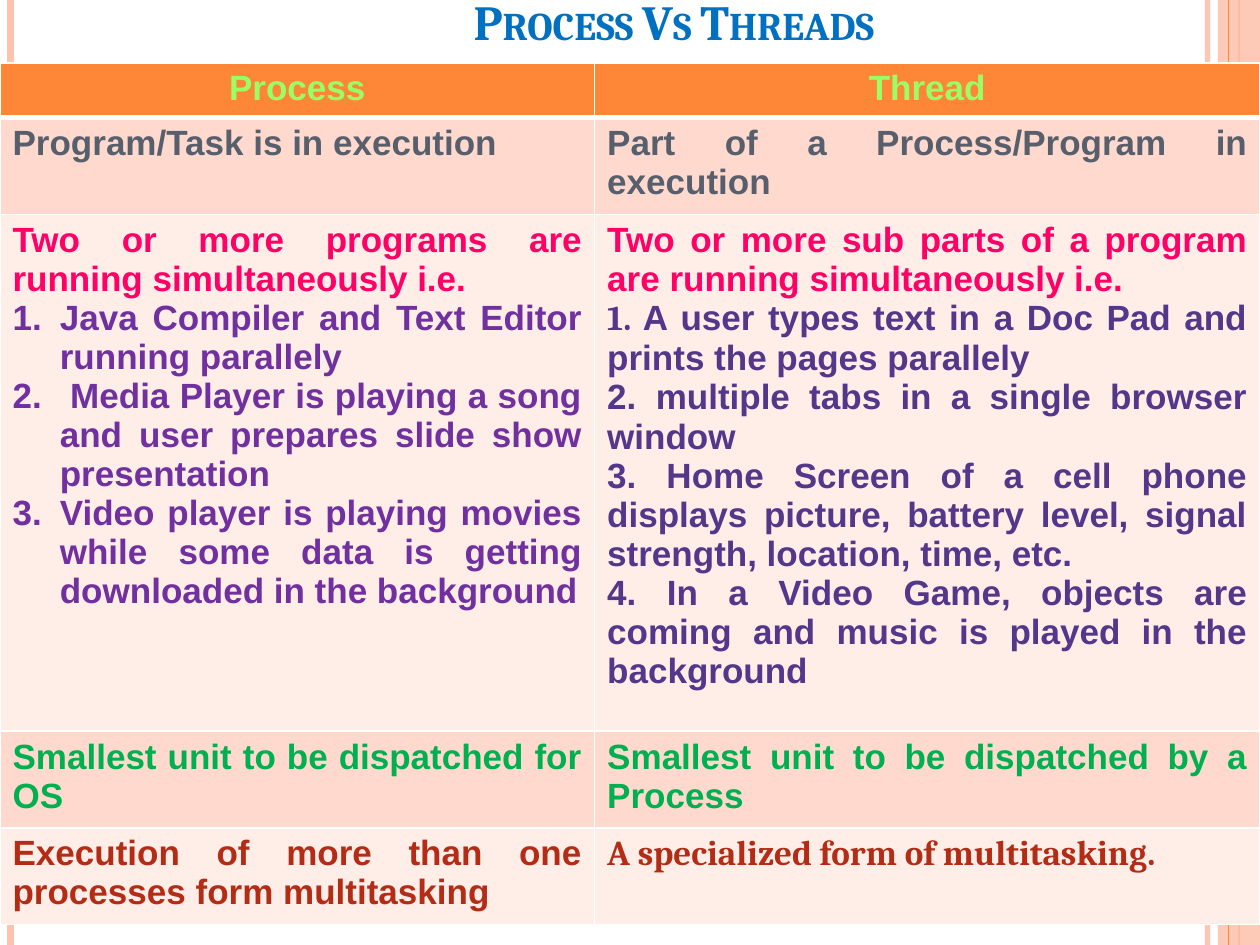
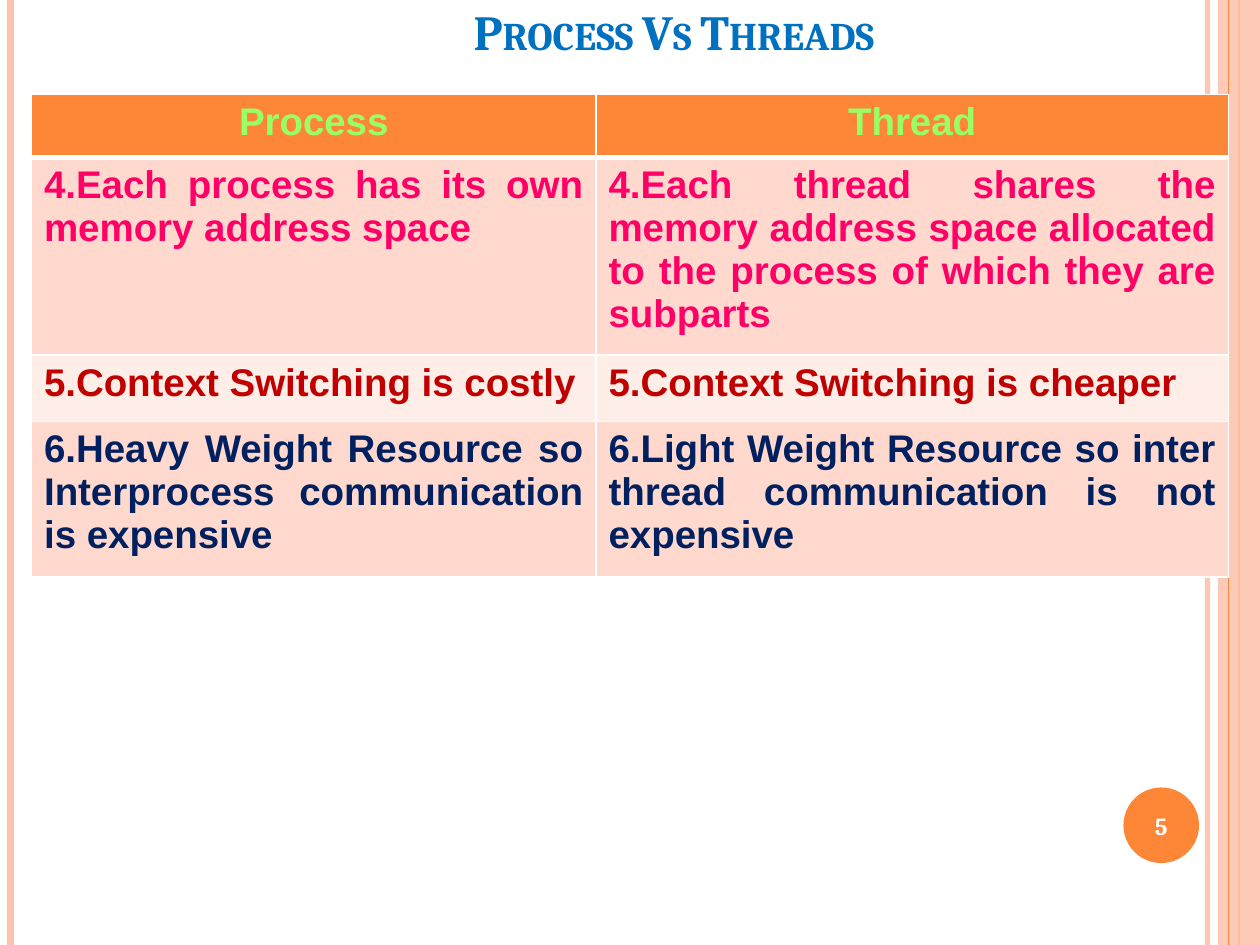
from dataclasses import dataclass

from lxml import etree
from pptx import Presentation
from pptx.dml.color import RGBColor
from pptx.enum.shapes import MSO_CONNECTOR as Conn, MSO_SHAPE as Shape
from pptx.enum.text import MSO_ANCHOR as Anchor, PP_ALIGN as Align
from pptx.oxml.ns import qn
from pptx.util import Pt


@dataclass(frozen=True)
class Theme:
    # colours
    title: str = "0070C0"
    orange: str = "FE8637"
    peach: str = "FEC3AE"
    white: str = "FFFFFF"
    header: str = "99FF66"
    bands: tuple[str, str] = ("FFD9CE", "FFEDE8")
    slate: str = "575F6D"
    pink: str = "FF0066"
    purple: str = "7030A0"
    violet: str = "54368A"
    green: str = "00B050"
    rust: str = "B32C16"
    red: str = "C00000"
    navy: str = "002060"
    # fonts and sizes
    serif: str = "Cambria"
    sans: str = "Arial"
    title_size: float = 28
    number_size: float = 14


T = Theme()
SLIDE_W, SLIDE_H = 720, 540


@dataclass(frozen=True)
class Stripe:
    x: float
    width: float
    color: str
    alpha: int = 100


@dataclass(frozen=True)
class Para:
    text: str
    color: str
    font: str = T.sans
    numbered: bool = False
    lead: str = ""  # opening words set in the serif font


@dataclass(frozen=True)
class Grid:
    left: float
    top: float
    cols: tuple[float, float]
    heights: tuple[float, ...]
    size: float
    rows: list[tuple[list[Para], list[Para]]]


def pair(process: str, thread: str, color: str, thread_font: str = T.sans):
    return [Para(process, color)], [Para(thread, color, thread_font)]


# Low-level helpers
def set_alpha(fill_owner, alpha: int) -> None:
    if alpha < 100:
        color = next(fill_owner.iter(qn("a:srgbClr")))
        etree.SubElement(color, qn("a:alpha"), val=str(alpha * 1000))


def add_run(p, text: str, *, size: float, color: str, font: str = T.sans,
            align=None, small_caps: bool = False) -> None:
    r = p.add_run()
    r.text = text
    r.font.size, r.font.name, r.font.bold = Pt(size), font, True
    r.font.color.rgb = RGBColor.from_string(color)
    if align is not None:
        p.alignment = align
    if small_caps:
        r._r.get_or_add_rPr().set("cap", "small")


def add_stripe(s, stripe: Stripe) -> None:
    line = s.shapes.add_connector(Conn.STRAIGHT, Pt(stripe.x), Pt(0),
                                  Pt(stripe.x), Pt(SLIDE_H))
    line.line.width = Pt(stripe.width)
    line.line.color.rgb = RGBColor.from_string(stripe.color)
    sp_pr = line._element.spPr
    set_alpha(sp_pr, stripe.alpha)
    etree.SubElement(sp_pr, qn("a:effectLst"))


def add_plain_shape(s, kind, x: float, y: float, w: float, h: float,
                    color: str, alpha: int = 100):
    sp = s.shapes.add_shape(kind, Pt(x), Pt(y), Pt(w), Pt(h))
    sp.shadow.inherit = False
    sp.fill.solid()
    sp.fill.fore_color.rgb = RGBColor.from_string(color)
    sp.line.fill.background()
    set_alpha(sp._element.spPr, alpha)
    return sp


# Shared slide parts
def add_background(s) -> None:
    for stripe in (Stripe(690, 3, T.peach, 93), Stripe(6, 4.5, T.peach),
                   Stripe(708, 1.5, T.orange)):
        add_stripe(s, stripe)
    add_plain_shape(s, Shape.RECTANGLE, 696, 0, 24, SLIDE_H, T.peach, 87)
    add_stripe(s, Stripe(702, 0.75, T.orange))


def add_title(s, text: str, top: float) -> None:
    tf = s.shapes.add_textbox(Pt(90), Pt(top), Pt(590.4), Pt(38.2)).text_frame
    tf.word_wrap, tf.vertical_anchor = True, Anchor.BOTTOM
    add_run(tf.paragraphs[0], text, size=T.title_size, color=T.title,
            font=T.serif, align=Align.CENTER, small_caps=True)


def add_slide_number(s, number: int) -> None:
    sp = add_plain_shape(s, Shape.OVAL, 642, 450, 43.2, 43.2, T.orange)
    tf = sp.text_frame
    tf.vertical_anchor = Anchor.MIDDLE
    add_run(tf.paragraphs[0], str(number), size=T.number_size, color=T.white,
            font=T.serif, align=Align.CENTER)


# Comparison table
def style_cell(cell, fill: str, borders: dict[str, float]) -> None:
    tc_pr = cell._tc.get_or_add_tcPr()
    for side, width in borders.items():
        ln = etree.SubElement(tc_pr, qn(f"a:ln{side}"), w=str(Pt(width)))
        solid = etree.SubElement(ln, qn("a:solidFill"))
        etree.SubElement(solid, qn("a:srgbClr"), val=T.white)
    cell.fill.solid()
    cell.fill.fore_color.rgb = RGBColor.from_string(fill)


def number_paragraph(p) -> None:
    p_pr = p._p.get_or_add_pPr()
    p_pr.set("marL", str(Pt(27)))
    p_pr.set("indent", str(-Pt(27)))
    etree.SubElement(p_pr, qn("a:buFont"), typeface="+mj-lt")
    etree.SubElement(p_pr, qn("a:buAutoNum"), type="arabicPeriod")


def fill_cell(cell, paras: list[Para], size: float, align) -> None:
    tf = cell.text_frame
    for i, para in enumerate(paras):
        p = tf.add_paragraph() if i else tf.paragraphs[0]
        if para.numbered:
            number_paragraph(p)
        if para.lead:
            add_run(p, para.lead, size=size, color=para.color, font=T.serif)
        add_run(p, para.text, size=size, color=para.color, font=para.font,
                align=align)


def add_grid(s, grid: Grid) -> None:
    rows = [pair("Process", "Thread", T.header), *grid.rows]
    table = s.shapes.add_table(
        len(rows), len(grid.cols), Pt(grid.left), Pt(grid.top),
        Pt(sum(grid.cols)), Pt(sum(grid.heights))).table
    table.first_row = table.horz_banding = False
    for column, width in zip(table.columns, grid.cols):
        column.width = Pt(width)
    for i, (row, height) in enumerate(zip(table.rows, grid.heights)):
        row.height = Pt(height)
        header = i == 0
        borders = {"L": 1, "R": 1, "T": 3 if i == 1 else 1,
                   "B": 3 if header else 1}
        for cell, paras in zip(row.cells, rows[i]):
            style_cell(cell, T.orange if header else T.bands[(i - 1) % 2],
                       borders)
            fill_cell(cell, paras, grid.size,
                      Align.CENTER if header else Align.JUSTIFY)


# Content
PROCESS_EXAMPLES = [
    "Java Compiler and Text Editor running parallely",
    " Media Player is playing a song and user prepares slide show presentation",
    "Video player is playing movies while some data is getting downloaded "
    "in the background",
]
THREAD_EXAMPLES = [
    "2. multiple tabs in a single browser window",
    "3. Home Screen of a cell phone displays picture, battery level, signal "
    "strength, location, time, etc.",
    "4. In a Video Game, objects are coming and music is played in the "
    "background",
]
BASICS = Grid(0, 36, (339.8, 380.2), (29.2, 52.4, 276, 51.4, 52), 20, [
    pair("Program/Task is in execution",
         "Part of a Process/Program in execution", T.slate),
    ([Para("Two or more programs are running simultaneously i.e.", T.pink),
      *(Para(text, T.purple, numbered=True) for text in PROCESS_EXAMPLES)],
     [Para("Two or more sub parts of a program are running simultaneously i.e.",
           T.pink),
      Para("A user types text in a Doc Pad and prints the pages parallely",
           T.violet, lead="1. "),
      *(Para(text, T.violet) for text in THREAD_EXAMPLES)]),
    pair("Smallest unit to be dispatched for OS",
         "Smallest unit to be dispatched by a Process", T.green),
    pair("Execution of more than one processes form multitasking",
         "A specialized form of multitasking.", T.rust, T.serif),
])
RESOURCES = Grid(18, 54, (322.6, 361.4), (36, 105.6, 38, 89), 22, [
    pair("4.Each process has its own memory address space",
         "4.Each thread shares the memory address space allocated to the "
         "process of which they are subparts", T.pink),
    pair("5.Context Switching is costly",
         "5.Context Switching is cheaper", T.red),
    pair("6.Heavy Weight Resource so Interprocess communication is expensive",
         "6.Light Weight Resource so inter thread communication is not "
         "expensive", T.navy),
])


def add_comparison(prs, grid: Grid, title_top: float,
                   number: int | None = None) -> None:
    s = prs.slides.add_slide(prs.slide_layouts[6])
    add_background(s)
    add_title(s, "Process Vs Threads", title_top)
    if number is not None:
        add_slide_number(s, number)
    add_grid(s, grid)


def main() -> None:
    prs = Presentation()
    prs.slide_width, prs.slide_height = Pt(SLIDE_W), Pt(SLIDE_H)
    add_comparison(prs, BASICS, title_top=-6)
    add_comparison(prs, RESOURCES, title_top=0, number=5)
    prs.save("out.pptx")


if __name__ == "__main__":
    main()
